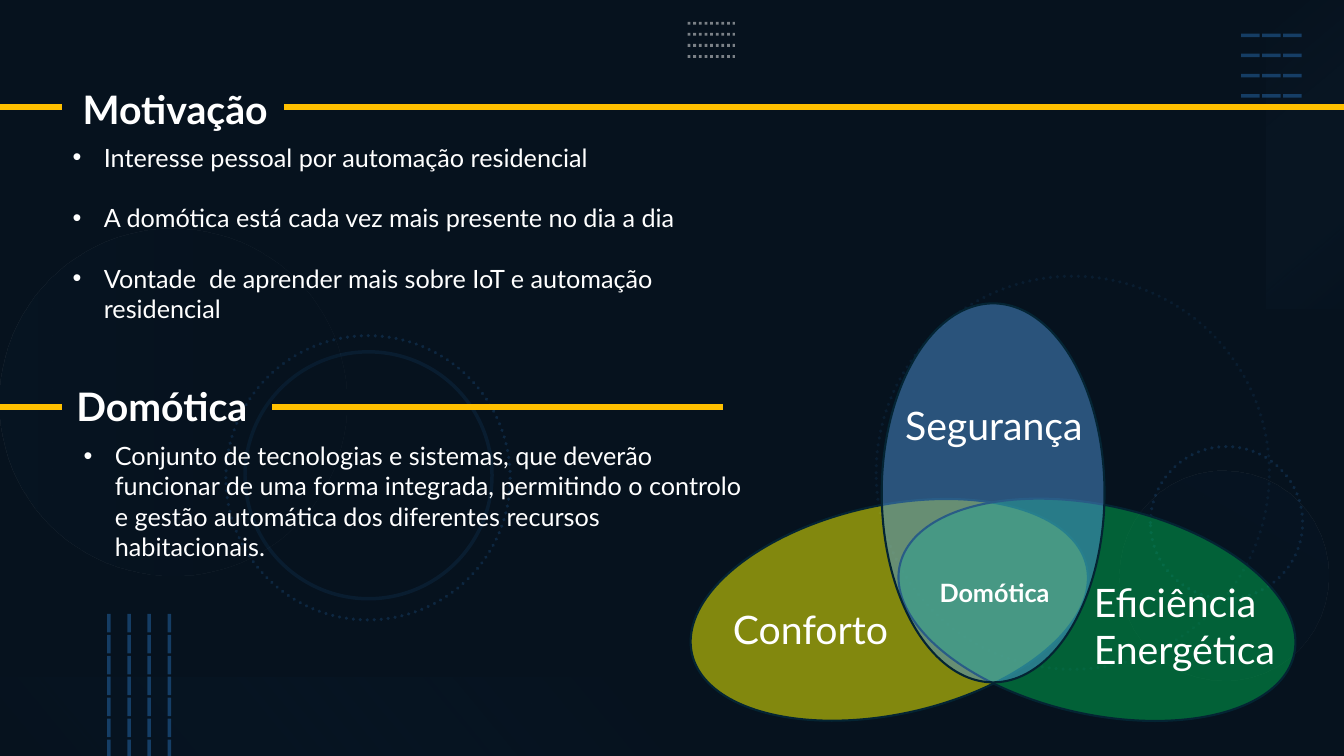
from lxml.etree import SubElement
from pptx import Presentation
from pptx.dml.color import RGBColor
from pptx.enum.dml import MSO_LINE
from pptx.enum.shapes import MSO_CONNECTOR, MSO_SHAPE
from pptx.enum.text import MSO_ANCHOR, MSO_AUTO_SIZE, PP_ALIGN
from pptx.oxml.ns import qn
from pptx.util import Inches, Pt

WIDTH, HEIGHT = 13.33, 7.5
WHITE, NAVY, BLUE, GOLD, INK = "FFFFFF", "0E2841", "2D7FCF", "FFC000", "042433"
DARK, DEEP = "0B1E31", "071420"

MOTIVATION = [
    "Interesse pessoal por automação residencial",
    "A domótica está cada vez mais presente no dia a dia",
    "Vontade  de aprender mais sobre IoT e automação residencial",
]
DEFINITION = [
    "Conjunto de tecnologias e sistemas, que deverão funcionar de uma forma integrada, "
    "permitindo o controlo e gestão automática dos diferentes recursos habitacionais."
]
LIST_GAP = 21.6

RINGS = [
    (8.69, 2.74, 3.9, 10, True),
    (11.41, 4.43, 1.51, 20, True),
    (2.24, 3.33, 2.82, 20, True),
    (2.43, 3.49, 2.45, 10, False),
]
GLOWS = [
    (MSO_SHAPE.OVAL, (0, 2.27, 3.44, 3.44), 270, 90, [(DARK, 20), (DEEP, 10)]),
    (MSO_SHAPE.OVAL, (11.1, 4.67, 2.08, 2.08), 210, 90, [(DARK, 10), (DARK, 20)]),
    (MSO_SHAPE.RECTANGLE, (11.42, 1.14, 3.06, 0.78), 270, 140, [("71AAE0", 0), (DARK, 10)]),
    (MSO_SHAPE.RECTANGLE, (0, 6.72, WIDTH / 2, 0.78), 180, 140, [(DEEP, 10), (BLUE, 0)]),
]
STRIPE_COUNT = 4
STRIPES = [
    ((12.31, 0.35), (0.6, 0), (0, 0.2), BLUE, 2.5, 40),
    ((1.08, 6.09), (0, 1.41), (0.2, 0), BLUE, 2.5, 40),
    ((6.82, 0.23), (0.47, 0), (0, 0.11), "F1F1F1", 2, 50),
]
RULES = [(0, 0.62, 1.06), (2.82, WIDTH, 1.06), (0, 0.62, 4.04), (2.7, 7.17, 4.04)]

VENN_AXIS = 9.85
PETALS = [
    (-1.03, 6.05, 4.01, 2.07, -12.5, "FFFF00"),
    (1.03, 6.05, 4.01, 2.07, 12.8, "00B050"),
    (0, 4.89, 2.21, 3.76, 0, "4E95D9"),
]
LABELS = [
    ("Conforto", (7.17, 5.96, 2.17, 0.55), 28, False),
    ("Eficiência Energética", (10.75, 5.69, 2.31, 1), 28, False),
    ("Segurança", (8.88, 3.93, 2.16, 0.55), 28, False),
    ("Domótica", (9.22, 5.68, 1.48, 0.39), 18, True),
    ("Domótica", (0.66, 3.74, 4.5, 0.57), 28, True),
]


def color(value):
    return RGBColor.from_string(value)


def set_alpha(element, *percents):
    for node, percent in zip(element.iter(qn("a:srgbClr")), percents):
        SubElement(node, qn("a:alpha"), val=str(percent * 1000))


def add_figure(page, kind, place, rotation=0):
    figure = page.shapes.add_shape(kind, *map(Inches, place))
    figure.rotation = rotation
    figure.shadow.inherit = False
    figure.line.fill.background()
    return figure


def fill_solid(figure, value, alpha=100):
    figure.fill.solid()
    figure.fill.fore_color.rgb = color(value)
    set_alpha(figure.fill._xPr.find(qn("a:solidFill")), alpha)


def fill_gradient(figure, angle, stops):
    figure.fill.gradient()
    figure.fill.gradient_angle = 360 - angle
    for stop, (value, _) in zip(figure.fill.gradient_stops, stops):
        stop.color.rgb = color(value)
    set_alpha(figure.fill._xPr.find(qn("a:gradFill")), *(alpha for _, alpha in stops))


def style_line(line, value, width, alpha=100):
    line.color.rgb = color(value)
    line.width = Pt(width)
    set_alpha(line._get_or_add_ln(), alpha)


def add_line(page, start, end, value, width, alpha=100):
    rule = page.shapes.add_connector(MSO_CONNECTOR.STRAIGHT, *map(Inches, (*start, *end)))
    style_line(rule.line, value, width, alpha)
    SubElement(rule._element.spPr, qn("a:effectLst"))
    return rule


def dash_long(line):
    stroke = line._get_or_add_ln()
    pattern = SubElement(stroke, qn("a:custDash"))
    SubElement(pattern, qn("a:ds"), d="530000", sp="70000")


def write_text(box, place, lines, size, bold=False, bulleted=False):
    box.left, box.top, box.width, box.height = map(Inches, place)
    frame = box.text_frame
    frame.text = "\n".join(lines)
    frame.word_wrap = True
    frame.auto_size = MSO_AUTO_SIZE.SHAPE_TO_FIT_TEXT
    frame.vertical_anchor = MSO_ANCHOR.TOP
    for index, para in enumerate(frame.paragraphs):
        if bulleted:
            properties = para._p.get_or_add_pPr()
            properties.set("marL", str(Inches(0.31)))
            properties.set("indent", str(-Inches(0.31)))
            SubElement(properties, qn("a:buFont"), typeface="Arial")
            SubElement(properties, qn("a:buChar"), char="•")
        para.alignment = PP_ALIGN.LEFT
        para.line_spacing = 1.0
        para.space_before = Pt(LIST_GAP if index else 0)
        for span in para.runs:
            span.font.name = "Lato"
            span.font.size = Pt(size)
            span.font.bold = bold
            span.font.color.rgb = color(WHITE)


def draw_backdrop(page):
    for value, alpha in ((NAVY, 100), ("000000", 53)):
        fill_solid(add_figure(page, MSO_SHAPE.RECTANGLE, (0, 0, WIDTH, HEIGHT)), value, alpha)
    for left, top, size, alpha, dotted in RINGS:
        ring = add_figure(page, MSO_SHAPE.OVAL, (left, top, size, size))
        ring.fill.background()
        style_line(ring.line, BLUE, 2.5, alpha)
        if dotted:
            ring.line.dash_style = MSO_LINE.ROUND_DOT
            ring.line._get_or_add_ln().set("cap", "rnd")
    for kind, place, rotation, angle, stops in GLOWS:
        fill_gradient(add_figure(page, kind, place, rotation), angle, stops)
    for (left, top), (run, drop), (across, down), value, width, alpha in STRIPES:
        for index in range(STRIPE_COUNT):
            x, y = left + index * across, top + index * down
            stripe = add_line(page, (x, y), (x + run, y + drop), value, width, alpha)
            if value == BLUE:
                dash_long(stripe.line)
            else:
                stripe.line.dash_style = MSO_LINE.ROUND_DOT


def draw_venn(page):
    for offset, middle, width, height, rotation, value in PETALS:
        place = (VENN_AXIS + offset - width / 2, middle - height / 2, width, height)
        petal = add_figure(page, MSO_SHAPE.OVAL, place, rotation)
        fill_solid(petal, value, 50)
        style_line(petal.line, INK, 1.5)


def main():
    """Build the motivation slide with its home automation Venn diagram."""
    deck = Presentation()
    deck.slide_width, deck.slide_height = Inches(WIDTH), Inches(HEIGHT)
    page = deck.slides.add_slide(deck.slide_layouts[3])
    title, motivation, definition = page.placeholders
    draw_backdrop(page)
    for box in (title, motivation, definition):
        page.shapes.element.append(box.element)
    write_text(title, (0.72, 0.76, 3.55, 0.59), ["Motivação"], 28, bold=True)
    title.text_frame.paragraphs[0].line_spacing = 1.07
    write_text(motivation, (0.62, 1.36, 6.67, 1.92), MOTIVATION, 18, bulleted=True)
    write_text(definition, (0.73, 4.32, 6.78, 1.31), DEFINITION, 18, bulleted=True)
    draw_venn(page)
    for text, place, size, bold in LABELS:
        write_text(page.shapes.add_textbox(0, 0, 0, 0), place, [text], size, bold)
    for start, end, level in RULES:
        add_line(page, (start, level), (end, level), GOLD, 4.5)
    deck.save("out.pptx")


if __name__ == "__main__":
    main()
